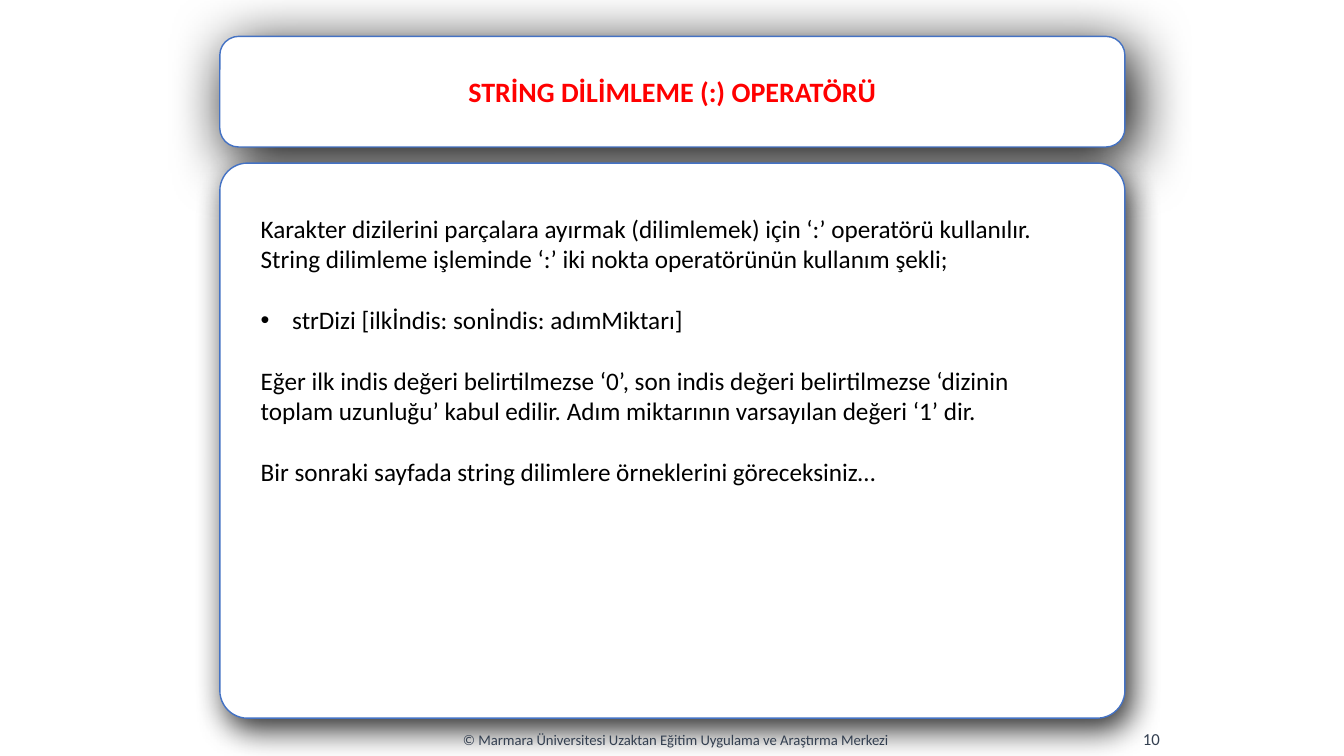
from lxml import etree
from pptx import Presentation
from pptx.dml.color import RGBColor
from pptx.enum.shapes import MSO_SHAPE
from pptx.enum.text import MSO_ANCHOR, MSO_AUTO_SIZE, PP_ALIGN
from pptx.oxml import parse_xml
from pptx.oxml.ns import qn
from pptx.util import Pt

ROUND = MSO_SHAPE.ROUNDED_RECTANGLE
TOP, MIDDLE = MSO_ANCHOR.TOP, MSO_ANCHOR.MIDDLE
FIXED = MSO_AUTO_SIZE.NONE
LEFT, CENTER, RIGHT = PP_ALIGN.LEFT, PP_ALIGN.CENTER, PP_ALIGN.RIGHT
NS = "http://schemas.openxmlformats.org/drawingml/2006/main"
COLORS = {
    "paper": "FFFFFF", "edge": "4472C4", "shade": "000000",
    "title": "FF0000", "body": "000000", "foot": "333F50",
}
BODY = [
    ("Karakter dizilerini parçalara ayırmak (dilimlemek) için ‘:’ operatörü kullanılır. "
     "String dilimleme işleminde ‘:’ iki nokta operatörünün kullanım şekli;", False),
    ("strDizi [ilkİndis: sonİndis: adımMiktarı]", True),
    ("Eğer ilk indis değeri belirtilmezse ‘0’, son indis değeri belirtilmezse ‘dizinin "
     "toplam uzunluğu’ kabul edilir. Adım miktarının varsayılan değeri ‘1’ dir.", False),
    ("Bir sonraki sayfada string dilimlere örneklerini göreceksiniz…", False),
]


class Deck:
    font = "Calibri"

    def __init__(self):
        self.file = Presentation()
        self.file.slide_width, self.file.slide_height = Pt(960), Pt(540)
        self.slide = self.file.slides.add_slide(self.file.slide_layouts[1])
        self.shapes = self.slide.shapes

    def color(self, name):
        return RGBColor.from_string(COLORS[name])

    def place(self, shape, box):
        shape.left, shape.top, shape.width, shape.height = map(Pt, box)

    def style(self, para, size, color, align, bold=False):
        para.alignment = align
        for run in para.runs:
            font = run.font
            font.name, font.size, font.bold = self.font, Pt(size), bold
            font.color.rgb = self.color(color)

    def panel(self, box, round_by, alpha, blur, angle):
        shape = self.shapes.add_shape(ROUND, *map(Pt, box))
        shape.adjustments[0] = round_by
        shape.fill.solid()
        shape.fill.fore_color.rgb = self.color("paper")
        shape.line.color.rgb = self.color("edge")
        shape.line.width = Pt(1)
        shape.shadow.inherit = False
        glow = parse_xml(
            f'<a:outerShdw xmlns:a="{NS}" blurRad="{Pt(blur)}" dist="{Pt(9)}" '
            f'dir="{angle * 60000}" algn="ctr" rotWithShape="0">'
            f'<a:srgbClr val="{COLORS["shade"]}"><a:alpha val="{alpha * 1000}"/>'
            '</a:srgbClr></a:outerShdw>')
        shape.element.spPr.find(qn("a:effectLst")).append(glow)
        self.shapes.title.element.addprevious(shape.element)

    def title(self, text, box):
        shape = self.shapes.title
        self.place(shape, box)
        frame = shape.text_frame
        frame.text = text
        frame.auto_size, frame.vertical_anchor = FIXED, MIDDLE
        self.style(frame.paragraphs[0], 20, "title", CENTER, True)

    def bullet(self, para, on):
        props = para._p.get_or_add_pPr()
        indent = Pt(22.5) if on else 0
        props.set("marL", str(indent))
        props.set("indent", str(-indent))
        if on:
            etree.SubElement(props, qn("a:buFont"), typeface="Arial")
            etree.SubElement(props, qn("a:buChar"), char="•")
        else:
            etree.SubElement(props, qn("a:buNone"))

    def body(self, items, box):
        shape = self.slide.placeholders[1]
        self.place(shape, box)
        frame = shape.text_frame
        frame.text = "\n".join(text for text, _ in items)
        frame.auto_size, frame.vertical_anchor = FIXED, TOP
        for i, (para, item) in enumerate(zip(frame.paragraphs, items)):
            self.bullet(para, item[1])
            para.space_before = Pt(22 if i else 0)
            self.style(para, 18, "body", LEFT)

    def label(self, text, box, size, align):
        frame = self.shapes.add_textbox(*map(Pt, box)).text_frame
        frame.text = text
        frame.word_wrap, frame.vertical_anchor = True, MIDDLE
        self.style(frame.paragraphs[0], size, "foot", align)


def main():
    deck = Deck()
    head = (157, 26, 646.5, 79)
    deck.panel(head, 0.17, 99, 43, 60)
    deck.panel((157, 116.5, 646.5, 396.5), 0.05, 81, 23, 64)
    deck.title("STRİNG DİLİMLEME (:) OPERATÖRÜ", head)
    deck.body(BODY, (179, 148.5, 600.5, 204))
    deck.label("© Marmara Üniversitesi Uzaktan Eğitim Uygulama ve Araştırma Merkezi",
               (270, 514, 425.5, 29), 10.5, CENTER)
    deck.label("10", (667.5, 513.5, 168, 29), 12, RIGHT)
    deck.file.save("out.pptx")


if __name__ == "__main__":
    main()
